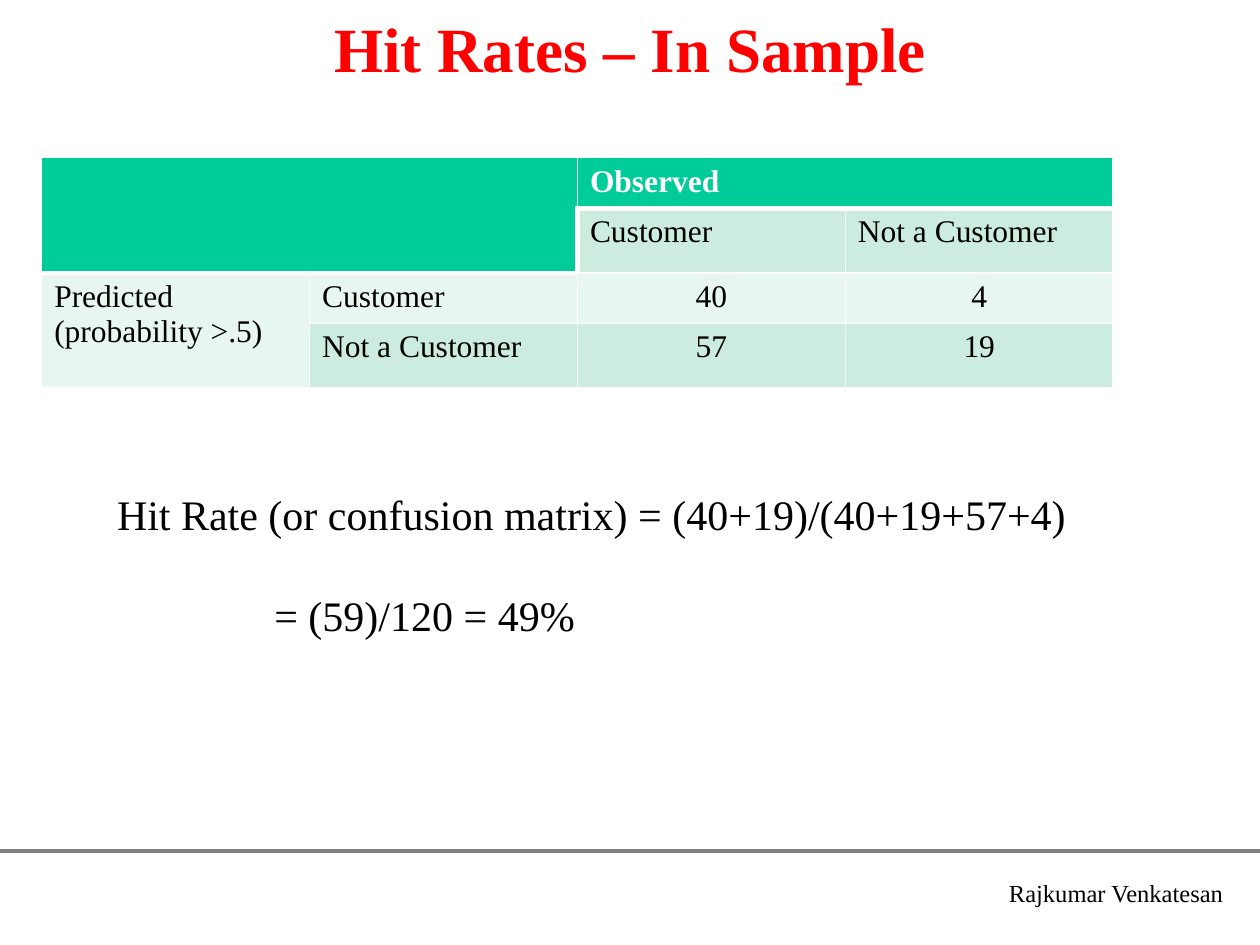
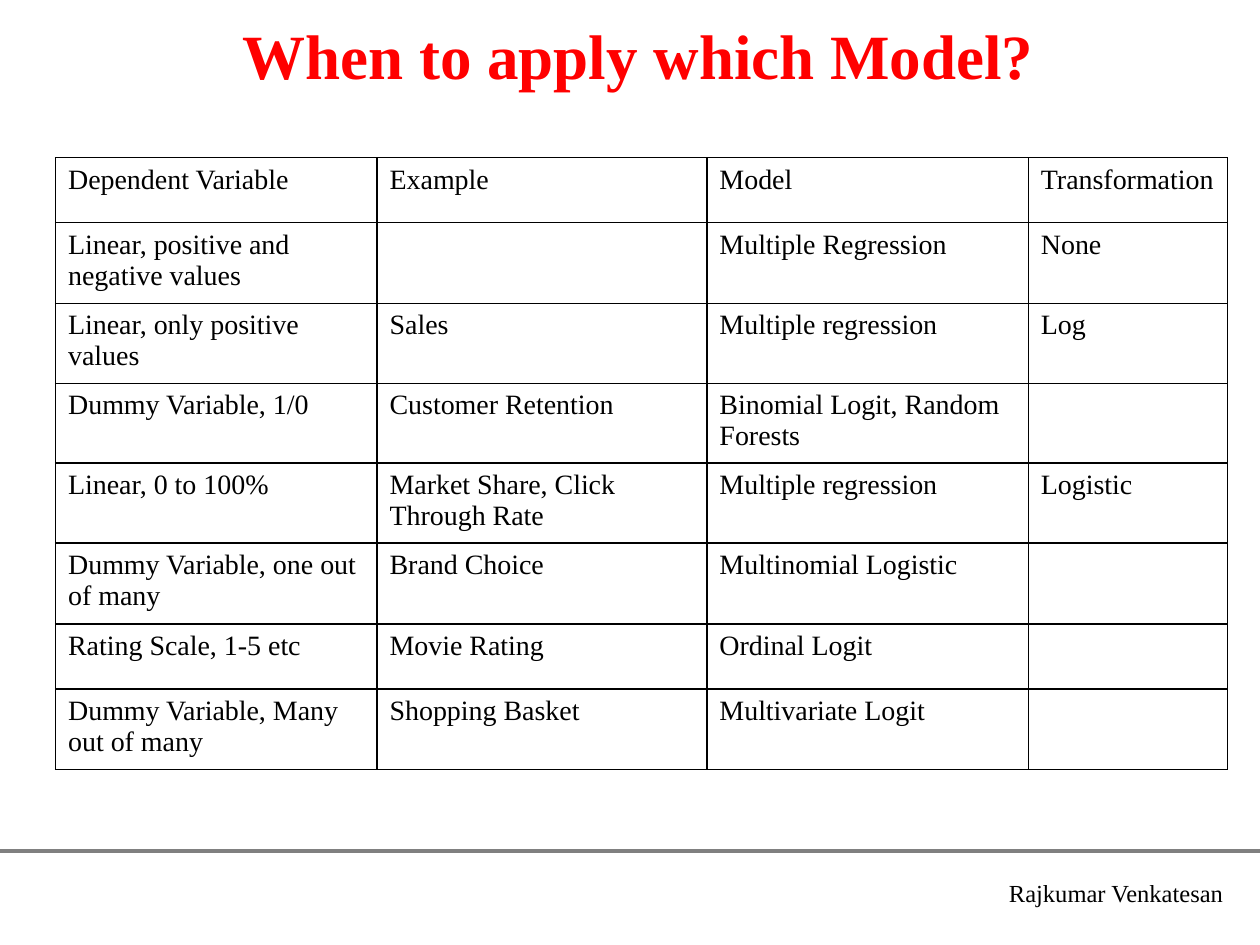
from lxml.etree import SubElement
from pptx import Presentation
from pptx.dml.color import RGBColor
from pptx.enum.text import MSO_ANCHOR, MSO_AUTO_SIZE, PP_ALIGN
from pptx.oxml.ns import qn
from pptx.util import Cm, Pt

FONT = "Times New Roman"
COLORS = {
    "title": "FF0000", "text": "000000", "white": "FFFFFF", "rule": "808080",
    "header": "00CC99", "band_dark": "CBECDE", "band_light": "E7F6EF",
}
AUTHOR = "Rajkumar Venkatesan"
TITLE_ONLY = 5
TABLE_TOP = 3.18

HIT_RATES = {
    "title": "Hit Rates – In Sample",
    "title_box": (1.9, 0, 21.6, 1.9),
    "left": 0.84,
    "columns": [5.4] * 4,
    "rows": [1.02, 1.3, 1.02, 1.3],
    "cells": [
        ["", "", "Observed", ""],
        ["", "", "Customer", "Not a Customer"],
        ["Predicted\n(probability >.5)", "Customer", "40", "4"],
        ["", "Not a Customer", "57", "19"],
    ],
    "merges": [((0, 0), (1, 1)), ((0, 2), (0, 3)), ((2, 0), (3, 0))],
    # Sides of cells drawn with the heavy line that sets off the headers
    "heavy": {
        (0, 0): "B", (0, 2): "B", (0, 3): "B", (1, 0): "B", (1, 1): "BR",
        (1, 2): "LT", (1, 3): "T", (2, 0): "T", (2, 1): "T",
    },
}
FORMULA = [
    "Hit Rate (or confusion matrix) = (40+19)/(40+19+57+4)",
    "= (59)/120 = 49%",
]

MODELS = {
    "title": "When to apply which Model?",
    "title_box": (2.26, 0, 21.2, 2.2),
    "left": 1.12,
    "columns": [6.48, 6.65, 6.48, 4.02],
    "rows": [1.31, 1.63, 1.5, 1.5, 1.5, 1.63, 1.31, 1.63],
    "cells": [
        ["Dependent Variable", "Example", "Model", "Transformation"],
        ["Linear, positive and negative values", "", "Multiple Regression", "None"],
        ["Linear, only positive values", "Sales", "Multiple regression", "Log"],
        ["Dummy Variable, 1/0", "Customer Retention",
         "Binomial Logit, Random Forests", ""],
        ["Linear, 0 to 100%", "Market Share, Click Through Rate",
         "Multiple regression", "Logistic"],
        ["Dummy Variable, one out of many", "Brand Choice", "Multinomial Logistic", ""],
        ["Rating Scale, 1-5 etc", "Movie Rating", "Ordinal Logit", ""],
        ["Dummy Variable, Many out of many", "Shopping Basket",
         "Multivariate Logit", ""],
    ],
}


def rgb(name):
    return RGBColor.from_string(COLORS[name])


def format_text(text_frame, size, color="text", bold=False, align=PP_ALIGN.LEFT):
    for paragraph in text_frame.paragraphs:
        paragraph.alignment = align
        for run in paragraph.runs:
            run.font.name = FONT
            run.font.size = Pt(size)
            run.font.bold = bold
            run.font.color.rgb = rgb(color)


def add_text(slide, lines, box, size):
    text_box = slide.shapes.add_textbox(*map(Cm, box))
    text_frame = text_box.text_frame
    text_frame.word_wrap = True
    text_frame.text = "\n".join(lines)
    format_text(text_frame, size)
    return text_frame


def add_base_slide(presentation, content):
    """Add a slide with its title, the footer rule and the author."""
    slide = presentation.slides.add_slide(presentation.slide_layouts[TITLE_ONLY])
    title = slide.shapes.title
    title.left, title.top, title.width, title.height = map(Cm, content["title_box"])
    title.text_frame.text = content["title"]
    title.text_frame.auto_size = MSO_AUTO_SIZE.NONE
    title.text_frame.vertical_anchor = MSO_ANCHOR.MIDDLE
    format_text(title.text_frame, 36, "title", True, PP_ALIGN.CENTER)

    rule_y = Cm(17.15)
    rule = slide.shapes.add_connector(1, 0, rule_y, presentation.slide_width, rule_y)
    rule.line.color.rgb = rgb("rule")
    rule.line.width = Pt(2.25)
    SubElement(rule._element.spPr, qn("a:effectLst"))
    add_text(slide, [AUTHOR], (20.09, 17.58, 5.1, 0.86), 14)
    return slide


def set_borders(cell, color, heavy=""):
    properties = cell._tc.get_or_add_tcPr()
    for side in "LRTB":
        width = Pt(3 if side in heavy else 1)
        line = SubElement(properties, qn(f"a:ln{side}"), w=str(width))
        fill = SubElement(line, qn("a:solidFill"))
        SubElement(fill, qn("a:srgbClr"), val=COLORS[color])


def add_table(slide, content, size, border):
    """Add the table and yield row, column and cell for further styling."""
    columns, rows = content["columns"], content["rows"]
    table = slide.shapes.add_table(
        len(rows), len(columns), Cm(content["left"]), Cm(TABLE_TOP),
        Cm(sum(columns)), Cm(sum(rows))).table
    table.first_row = table.horz_banding = False
    for column, width in zip(table.columns, columns):
        column.width = Cm(width)
    for row, height in zip(table.rows, rows):
        row.height = Cm(height)
    for start, end in content.get("merges", []):
        table.cell(*start).merge(table.cell(*end))
    for i, texts in enumerate(content["cells"]):
        for j, text in enumerate(texts):
            cell = table.cell(i, j)
            cell.text_frame.text = text
            format_text(cell.text_frame, size)
            set_borders(cell, border, content.get("heavy", {}).get((i, j), ""))
            yield i, j, cell


def build_hit_rates(presentation):
    slide = add_base_slide(presentation, HIT_RATES)
    for i, j, cell in add_table(slide, HIT_RATES, 18, "white"):
        is_header = i == 0 or (i == 1 and j < 2)
        if is_header:
            fill = "header"
            format_text(cell.text_frame, 18, "white", True)
        else:
            fill = "band_dark" if i % 2 else "band_light"
        if i > 1 and j > 1:
            format_text(cell.text_frame, 18, align=PP_ALIGN.CENTER)
        cell.fill.solid()
        cell.fill.fore_color.rgb = rgb(fill)

    result = add_text(slide, FORMULA, (2.11, 9.73, 20.2, 4.37), 24).paragraphs[1]
    result.space_before = Pt(29)
    result._p.get_or_add_pPr().set("marL", str(Cm(3.17)))


def build_models(presentation):
    slide = add_base_slide(presentation, MODELS)
    for _, _, cell in add_table(slide, MODELS, 16, "text"):
        cell.fill.background()


def main():
    presentation = Presentation()
    presentation.slide_width, presentation.slide_height = Cm(25.4), Cm(19.05)
    build_hit_rates(presentation)
    build_models(presentation)
    presentation.save("out.pptx")


if __name__ == "__main__":
    main()
